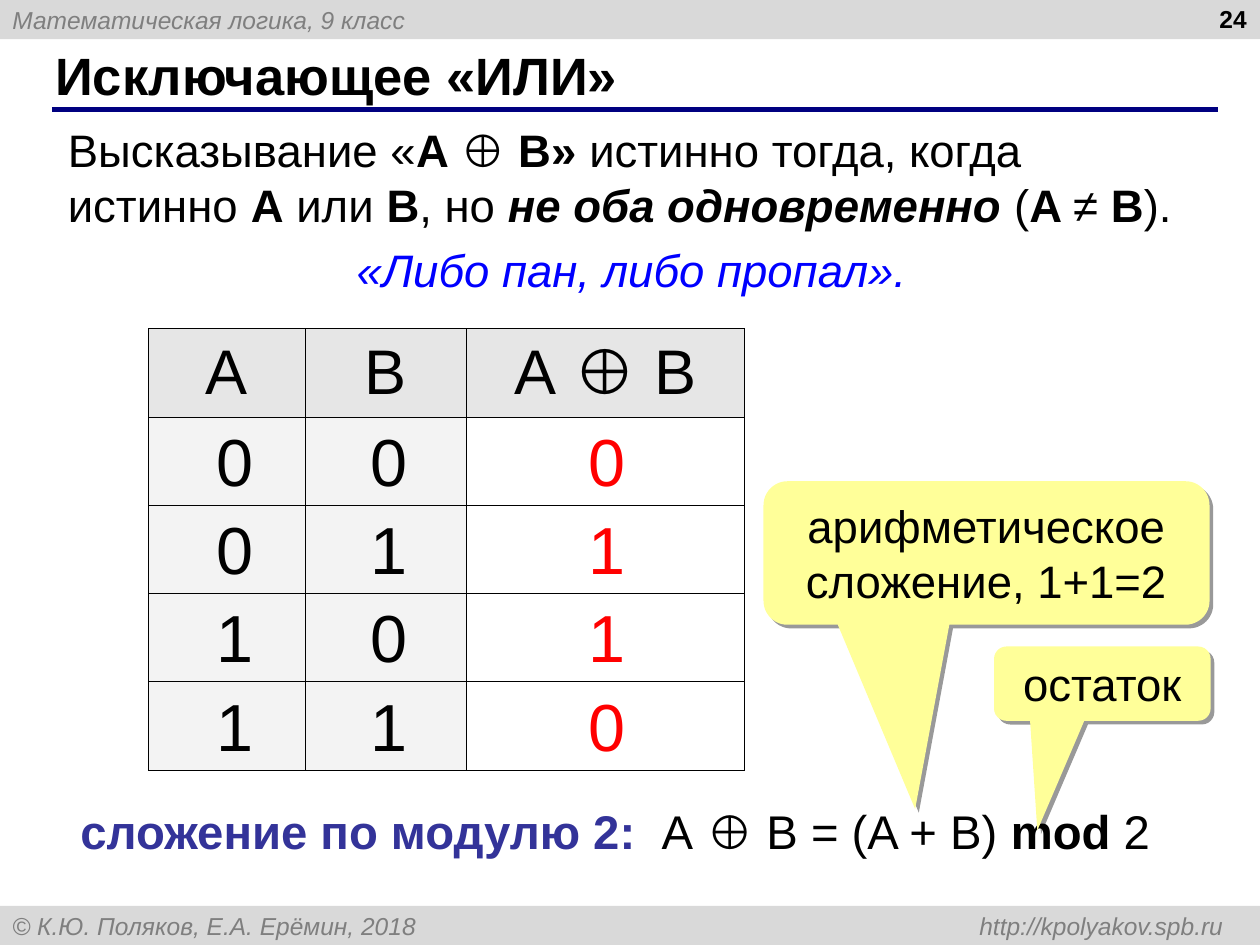
from dataclasses import dataclass

from lxml.etree import SubElement
from pptx import Presentation
from pptx.dml.color import RGBColor as RGB
from pptx.enum.shapes import MSO_CONNECTOR as Connector, MSO_SHAPE as Shape
from pptx.enum.text import MSO_ANCHOR as Anchor, MSO_AUTO_SIZE as AutoSize, PP_ALIGN as Align
from pptx.oxml import parse_xml
from pptx.oxml.ns import nsdecls, qn
from pptx.util import Pt


@dataclass(frozen=True)
class Theme:
    font: str = "Arial"
    ink: str = "000000"
    muted: str = "7F7F7F"
    bar: str = "D9D9D9"
    rule: str = "000080"
    quote: str = "0000FF"
    term: str = "333399"
    result: str = "FF0000"
    header: str = "E6E6E6"
    operand: str = "F3F3F3"
    note: str = "FFFF99"
    small: int = 14
    body: int = 26
    formula: int = 27
    title: int = 30
    heading: int = 36
    digit: int = 38


class SlideBuilder:
    """Draws styled elements on one slide, with all lengths in points."""

    def __init__(self, slide, theme):
        self.slide = slide
        self.theme = theme

    def add_runs(self, paragraph, runs, size, color=None, align=Align.LEFT):
        paragraph.alignment = align
        for text, marks in runs:
            run = paragraph.add_run()
            run.text = text
            font = run.font
            font.name, font.size = self.theme.font, Pt(size)
            font.bold, font.italic = "b" in marks, "i" in marks
            font.color.rgb = RGB.from_string(color or self.theme.ink)

    def text(self, box, runs, size, color=None, align=Align.LEFT,
             anchor=Anchor.TOP, wrap=True, grow=False):
        frame = self.slide.shapes.add_textbox(*map(Pt, box)).text_frame
        frame.word_wrap = wrap
        frame.vertical_anchor = anchor
        frame.auto_size = AutoSize.SHAPE_TO_FIT_TEXT if grow else AutoSize.NONE
        self.add_runs(frame.paragraphs[0], runs, size, color, align)
        return frame

    def panel(self, kind, box, fill):
        panel = self.slide.shapes.add_shape(kind, *map(Pt, box))
        panel.shadow.inherit = False
        panel.fill.solid()
        panel.fill.fore_color.rgb = RGB.from_string(fill)
        panel.line.fill.background()
        panel.text_frame.word_wrap = True
        panel.text_frame.vertical_anchor = Anchor.MIDDLE
        return panel

    def bar(self, top, caption, right_tab=None):
        bar = self.panel(Shape.RECTANGLE, (0, top, 720, 22.4), self.theme.bar)
        paragraph = bar.text_frame.paragraphs[0]
        if right_tab:
            tabs = SubElement(paragraph._p.get_or_add_pPr(), qn("a:tabLst"))
            SubElement(tabs, qn("a:tab"), pos=str(Pt(right_tab)), algn="r")
        self.add_runs(paragraph, [(caption, "i")], self.theme.small, self.theme.muted)

    def rule(self, left, right, y):
        rule = self.slide.shapes.add_connector(
            Connector.STRAIGHT, Pt(left), Pt(y), Pt(right), Pt(y))
        rule.line.width = Pt(3)
        rule.line.color.rgb = RGB.from_string(self.theme.rule)
        SubElement(rule._element.spPr, qn("a:effectLst"))

    def callout(self, box, caption, pointer):
        callout = self.panel(Shape.ROUNDED_RECTANGULAR_CALLOUT, box, self.theme.note)
        for index, value in enumerate((*pointer, 0.167)):
            callout.adjustments[index] = value
        callout._element.spPr.find(qn("a:effectLst")).append(parse_xml(
            f'<a:outerShdw {nsdecls("a")} blurRad="0" dist="{Pt(3)}" dir="2700000" '
            'algn="ctr" rotWithShape="0"><a:srgbClr val="000000">'
            '<a:alpha val="40000"/></a:srgbClr></a:outerShdw>'))
        self.add_runs(callout.text_frame.paragraphs[0], [(caption, "")],
                      self.theme.body, align=Align.CENTER)

    def border(self, cell):
        for index, side in enumerate(("lnL", "lnR", "lnT", "lnB")):
            cell._tc.get_or_add_tcPr().insert(index, parse_xml(
                f'<a:{side} {nsdecls("a")} w="{Pt(0.45)}"><a:solidFill>'
                f'<a:srgbClr val="{self.theme.ink}"/></a:solidFill></a:{side}>'))

    def table(self, left, top, widths, row_height, row_count, headings):
        frame = self.slide.shapes.add_table(
            row_count, len(widths), Pt(left), Pt(top),
            Pt(sum(widths)), Pt(row_height * row_count))
        grid = frame.table
        for column, width in zip(grid.columns, widths):
            column.width = Pt(width)
        for row_index, row in enumerate(grid.rows):
            row.height = Pt(row_height)
            for column_index, cell in enumerate(row.cells):
                cell.vertical_anchor = Anchor.MIDDLE
                if row_index and column_index == len(widths) - 1:
                    cell.fill.background()
                else:
                    cell.fill.solid()
                    cell.fill.fore_color.rgb = RGB.from_string(
                        self.theme.operand if row_index else self.theme.header)
                self.border(cell)
                if not row_index:
                    self.add_runs(cell.text_frame.paragraphs[0],
                                  [(headings[column_index], "")],
                                  self.theme.heading, align=Align.CENTER)

    def digit(self, center, top, value, color):
        self.text((center - 22, top, 44, 44.6), [(str(value), "")], self.theme.digit,
                  color, Align.CENTER, Anchor.MIDDLE, wrap=False)


def main():
    deck = Presentation()
    deck.slide_width, deck.slide_height = Pt(720), Pt(540)
    theme = Theme()
    page = SlideBuilder(deck.slides.add_slide(deck.slide_layouts[6]), theme)

    page.bar(0, "Математическая логика, 9 класс")
    page.bar(517.6, "© К.Ю. Поляков, Е.А. Ерёмин, 2018\thttp://kpolyakov.spb.ru", 692)
    page.rule(29.6, 696, 62.6)
    page.text((24.5, 23.8, 659.5, 37.4), [("Исключающее «ИЛИ»", "b")], theme.title,
              anchor=Anchor.MIDDLE)
    page.text((551.5, -1.4, 168, 37.4), [("24", "b")], theme.small, align=Align.RIGHT)

    definition = page.text((31.7, 66.2, 658.8, 107.3), [
        ("Высказывание «", ""), ("A ⊕ B» ", "b"), ("истинно тогда, когда истинно ", ""),
        ("А ", "b"), ("или ", ""), ("B", "b"), (", но ", ""),
        ("не оба одновременно ", "bi"), ("(", ""), ("A ", "b"), ("≠ ", ""),
        ("B", "b"), (").", "")], theme.body, grow=True)
    proverb = definition.add_paragraph()
    proverb.space_before = Pt(6)
    page.add_runs(proverb, [("«Либо пан, либо пропал».", "i")], theme.body,
                  theme.quote, Align.CENTER)

    row_height = 50.4
    page.table(85, 187.9, (89.3, 92.2, 159.1), row_height, 5, ("A", "B", "А ⊕ B"))
    for row, (a, b) in enumerate((a, b) for a in (0, 1) for b in (0, 1)):
        top = 240.5 + row * row_height
        page.digit(134.6, top, a, theme.ink)
        page.digit(222.5, top, b, theme.ink)
        page.digit(347, top, a ^ b, theme.result)

    modulo = page.text((38.9, 455, 681, 39.6), [("сложение по модулю 2:  ", "b")],
                       theme.formula, theme.term, grow=True)
    page.add_runs(modulo.paragraphs[0],
                  [("А ⊕ B = (A + B) ", ""), ("mod", "b"), (" 2", "")], theme.formula)
    page.callout((436.3, 275, 254.9, 82), "арифметическое сложение, 1+1=2", (-0.16, 1.784))
    page.callout((568, 369.4, 123.8, 42.5), "остаток", (-0.3, 1.975))

    deck.save("out.pptx")


if __name__ == "__main__":
    main()
